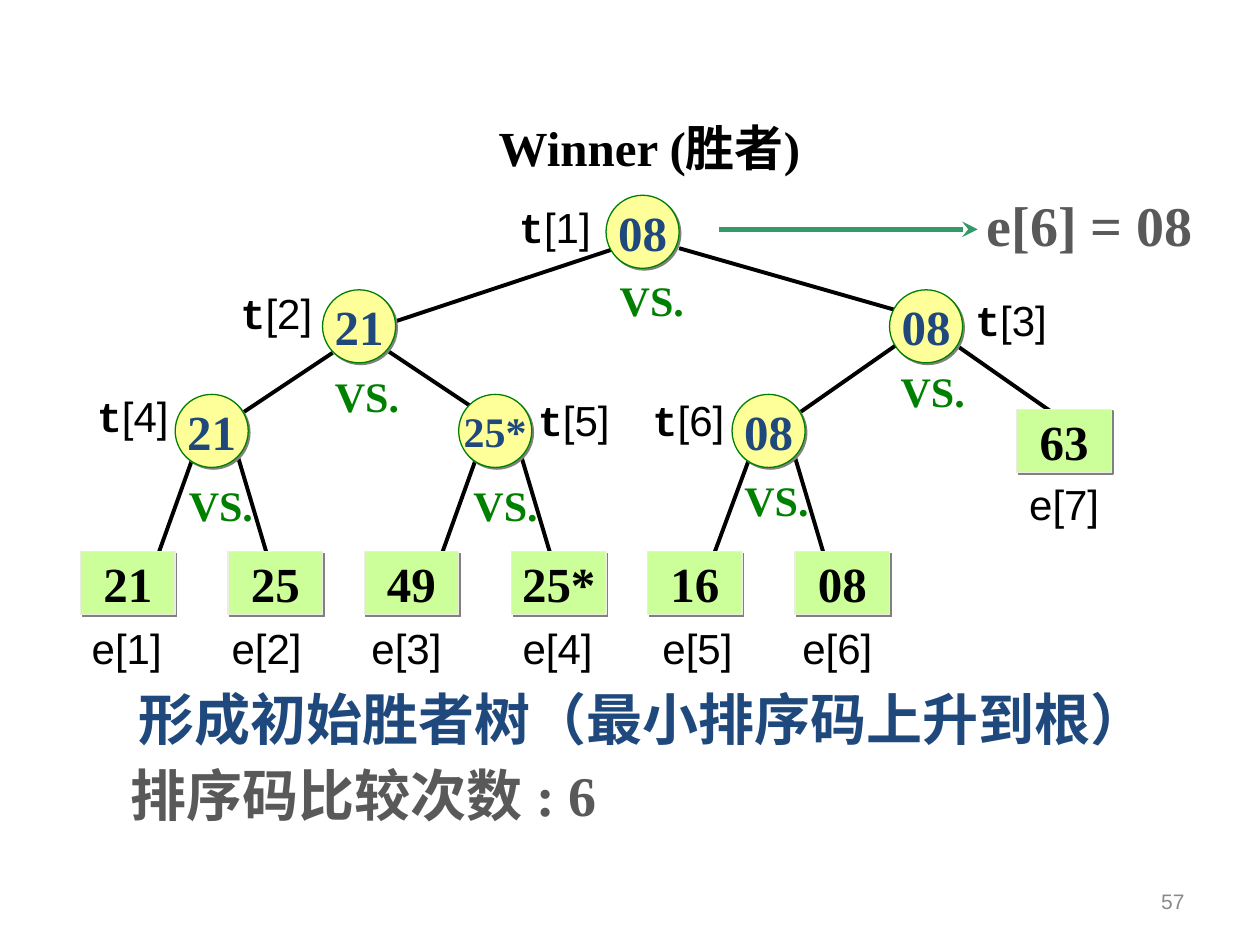
from lxml.etree import SubElement
from pptx import Presentation
from pptx.dml.color import RGBColor
from pptx.enum.shapes import MSO_CONNECTOR, MSO_SHAPE
from pptx.enum.text import MSO_ANCHOR, PP_ALIGN
from pptx.oxml.ns import qn
from pptx.util import Inches, Pt

COLORS = {
    "black": "000000", "navy": "1F497D", "gray": "595959", "number": "898989",
    "green": "008000", "arrow": "339966", "yellow": "FFFF99",
    "lime": "CCFF99", "cream": "EEECE1", "shadow": "808080",
}
SERIF, SANS, MONO = "Times New Roman", "Arial", "Courier New"
NODE_SIZE = 0.58
LEAF_WIDTH, LEAF_HEIGHT = 0.75, 0.5
LEAF_TOP = 4.38

# left, top, value, size
NODES = [
    (4.81, 1.55, "08", 28), (2.56, 2.3, "21", 28), (7.06, 2.3, "08", 28),
    (1.39, 3.13, "21", 28), (3.64, 3.13, "25*", 24), (5.81, 3.13, "08", 28),
]
NODE_LABELS = [(4.02, 1.55), (1.81, 2.23), (7.64, 2.29),
               (0.67, 3.05), (4.17, 3.08), (5.08, 3.08)]
VERSUS = [(4.82, 2.13), (2.56, 2.89), (7.05, 2.85),
          (1.4, 3.76), (3.66, 3.76), (5.81, 3.72)]
# left, top, value, label left, label top
LEAVES = [
    (0.64, LEAF_TOP, "21", 0.63, 4.89), (1.81, LEAF_TOP, "25", 1.74, 4.89),
    (2.89, LEAF_TOP, "49", 2.85, 4.89), (4.06, LEAF_TOP, "25*", 4.05, 4.89),
    (5.14, LEAF_TOP, "16", 5.16, 4.89), (6.31, LEAF_TOP, "08", 6.27, 4.89),
    (8.07, 3.25, "63", 8.07, 3.75),
]
# start x, start y, end x, end y
EDGES = [
    (5.39, 1.97, 7.14, 2.47), (3.14, 2.55, 4.89, 1.97),
    (7.14, 2.72, 6.31, 3.3), (7.56, 2.72, 8.39, 3.3),
    (2.64, 2.8, 1.89, 3.3), (2.98, 2.72, 3.73, 3.22),
    (1.56, 3.55, 1.23, 4.47), (1.89, 3.63, 2.14, 4.47),
    (3.81, 3.55, 3.48, 4.47), (4.14, 3.63, 4.39, 4.47),
    (5.98, 3.55, 5.64, 4.47), (6.31, 3.63, 6.56, 4.47),
]


def rgb(name):
    return RGBColor.from_string(COLORS[name])


def format_span(span, size, color, font=SERIF, bold=True):
    span.font.name = font
    span.font.size = Pt(size)
    span.font.bold = bold
    span.font.color.rgb = rgb(color)


def add_text(page, left, top, width, height, text, size, color,
             font=SERIF, bold=True, align=PP_ALIGN.LEFT):
    box = page.shapes.add_textbox(Inches(left), Inches(top),
                                  Inches(width), Inches(height))
    frame = box.text_frame
    frame.word_wrap = True
    frame.text = text
    para = frame.paragraphs[0]
    para.alignment = align
    format_span(para.runs[0], size, color, font, bold)
    return box


def add_line(page, edge, color, width):
    line = page.shapes.add_connector(MSO_CONNECTOR.STRAIGHT,
                                     *[Inches(value) for value in edge])
    line.line.color.rgb = rgb(color)
    line.line.width = Pt(width)
    SubElement(line._element.spPr, qn("a:effectLst"))
    return line


def add_arrow(page, edge, color, width):
    arrow = add_line(page, edge, color, width)
    SubElement(arrow.line._get_or_add_ln(), qn("a:tailEnd"), type="stealth")


def add_drop_shadow(shape):
    """Give the shape a hard gray shadow to the lower right."""
    shape.shadow.inherit = False
    effects = shape._element.spPr.find(qn("a:effectLst"))
    shadow = SubElement(effects, qn("a:outerShdw"), dist=str(Pt(1.4)),
                        dir="2700000", algn="ctr", rotWithShape="0")
    SubElement(shadow, qn("a:srgbClr"), val=COLORS["shadow"])


def add_value(page, kind, left, top, width, height, text, size,
              fill, outline, color):
    """Add a filled shape that holds one sort key."""
    shape = page.shapes.add_shape(kind, Inches(left), Inches(top),
                                  Inches(width), Inches(height))
    shape.fill.solid()
    shape.fill.fore_color.rgb = rgb(fill)
    shape.line.color.rgb = rgb(outline)
    shape.line.width = Pt(0.75)
    add_drop_shadow(shape)
    frame = shape.text_frame
    frame.word_wrap = False
    frame.vertical_anchor = MSO_ANCHOR.MIDDLE
    frame.text = text
    para = frame.paragraphs[0]
    para.alignment = PP_ALIGN.CENTER
    format_span(para.runs[0], size, color)


def add_node_label(page, left, top, index):
    box = add_text(page, left, top, 0.83, 0.5, "t", 24, "black", MONO)
    span = box.text_frame.paragraphs[0].add_run()
    span.text = f"[{index}]"
    format_span(span, 24, "black", SANS, False)


def add_tree(page):
    for edge in EDGES:
        add_line(page, edge, "black", 2.25)
    for left, top, value, size in NODES:
        add_value(page, MSO_SHAPE.OVAL, left, top, NODE_SIZE, NODE_SIZE,
                  value, size, "yellow", "green", "navy")
    for index, (left, top, value, label_left, label_top) in enumerate(LEAVES, 1):
        add_value(page, MSO_SHAPE.RECTANGLE, left, top, LEAF_WIDTH, LEAF_HEIGHT,
                  value, 28, "lime", "cream", "black")
        add_text(page, label_left, label_top, 0.83, 0.5, f"e[{index}]",
                 24, "black", SANS, False)
    for index, (left, top) in enumerate(NODE_LABELS, 1):
        add_node_label(page, left, top, index)
    for left, top in VERSUS:
        add_text(page, left, top, 0.8, 0.5, "VS.", 24, "green")


def main():
    deck = Presentation()
    deck.slide_width, deck.slide_height = Inches(10), Inches(7.5)
    page = deck.slides.add_slide(deck.slide_layouts[6])

    add_tree(page)
    add_text(page, 3.86, 0.88, 2.79, 0.57, "Winner (胜者)", 28, "black")
    add_arrow(page, (5.71, 1.82, 7.76, 1.82), "arrow", 3)
    add_text(page, 7.63, 1.46, 2.04, 0.64, "e[6] = 08", 32, "gray",
             align=PP_ALIGN.CENTER)
    add_text(page, 1, 5.38, 8.4, 0.64,
             "形成初始胜者树（最小排序码上升到根）", 32, "navy")
    add_text(page, 0.94, 5.99, 4.1, 0.64, "排序码比较次数 : 6", 32, "gray")
    number = add_text(page, 7.17, 6.95, 2.33, 0.4, "57", 12, "number",
                      SANS, False, PP_ALIGN.RIGHT)
    number.text_frame.vertical_anchor = MSO_ANCHOR.MIDDLE
    deck.save("out.pptx")


if __name__ == "__main__":
    main()
